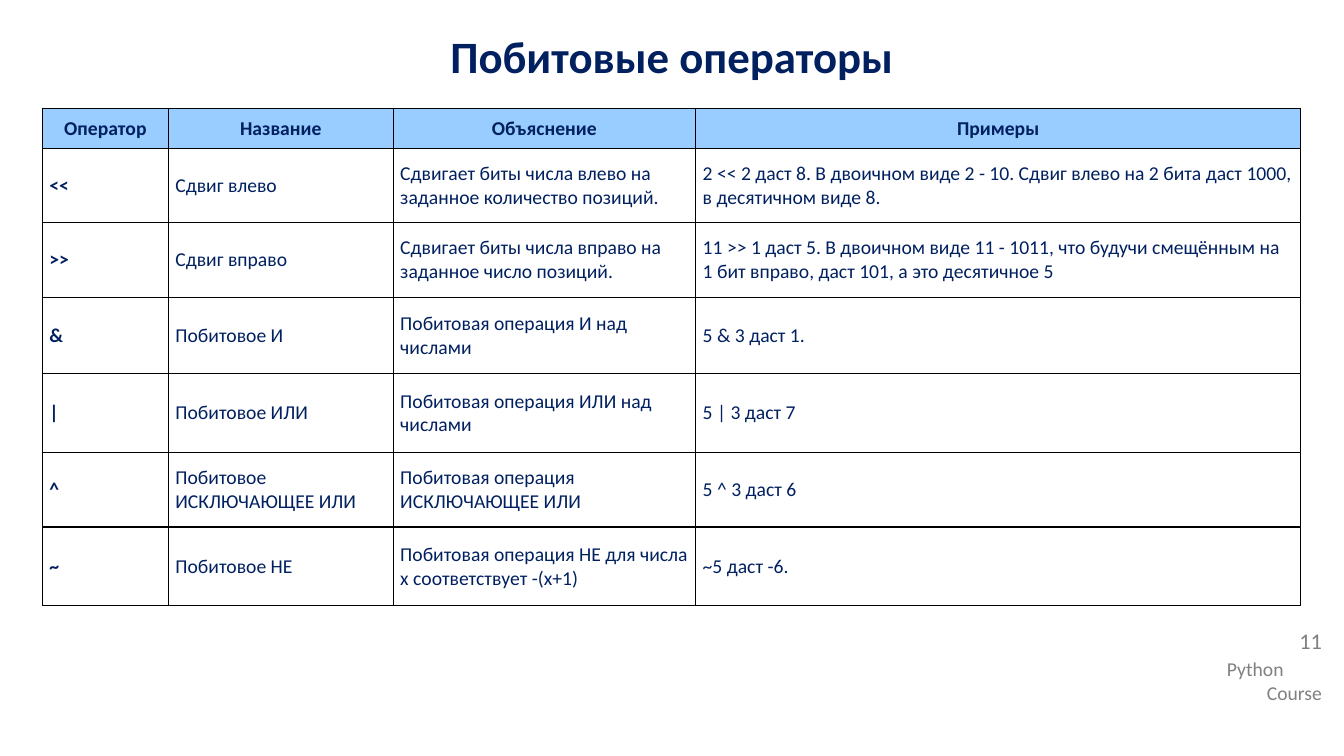
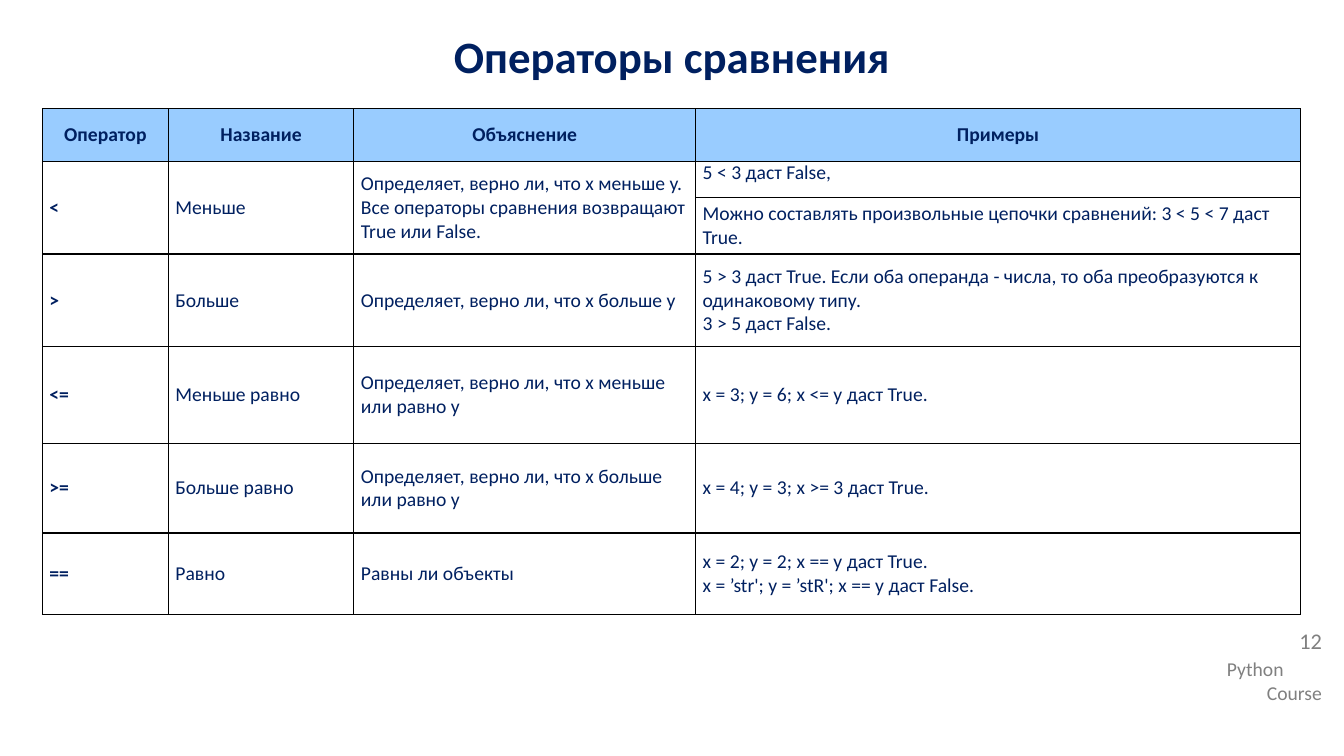
from lxml import etree
from pptx import Presentation
from pptx.dml.color import RGBColor
from pptx.enum.text import MSO_ANCHOR, MSO_AUTO_SIZE, PP_ALIGN
from pptx.oxml.ns import qn
from pptx.util import Emu, Pt

LEFT, CENTER, RIGHT = PP_ALIGN.LEFT, PP_ALIGN.CENTER, PP_ALIGN.RIGHT
TOP, MIDDLE = MSO_ANCHOR.TOP, MSO_ANCHOR.MIDDLE
TITLE_ONLY = 5

# Shared look; lengths are in px, 100 to the inch
SLIDE_SIZE = (1333, 750)
FONT = "Calibri"
NAVY, GRAY, SKY, BLACK = "002060", "808080", "99CCFF", "000000"
TITLE_BOX = (0, 23, 1333, 76)
NUMBER_BOX = (1207, 620, 114, 45)
FOOTER_BOX = (1207, 647, 114, 57)
TABLE_AT = (42, 108)
CELL_INSET = 7
BORDER_PT = 1
FIRST_NUMBER = 11
FOOTER = (("Python", LEFT), ("Course", RIGHT))
HEADERS = ("Оператор", "Название", "Объяснение", "Примеры")

# A tuple in a cell holds paragraphs; None continues the cell above
SLIDES = [
    {
        "title": "Побитовые операторы",
        "cols": (125, 223, 300, 600),
        "heights": (39, 74, 74, 76, 78, 74, 78),
        "rows": [
            ("<<", "Сдвиг влево",
             "Сдвигает биты числа влево на заданное количество позиций.",
             "2 << 2 даст 8. В двоичном виде 2 - 10. Сдвиг влево на 2 бита "
             "даст 1000, в десятичном виде 8."),
            (">>", "Сдвиг вправо",
             "Сдвигает биты числа вправо на заданное число позиций.",
             "11 >> 1 даст 5. В двоичном виде 11 - 1011, что будучи смещённым "
             "на 1 бит вправо, даст 101, а это десятичное 5"),
            ("&", "Побитовое И", "Побитовая операция И над числами",
             "5 & 3 даст 1."),
            ("|", "Побитовое ИЛИ", "Побитовая операция ИЛИ над числами",
             "5 | 3 даст 7"),
            ("^", "Побитовое ИСКЛЮЧАЮЩЕЕ ИЛИ",
             "Побитовая операция ИСКЛЮЧАЮЩЕЕ ИЛИ", "5 ^ 3 даст 6"),
            ("~", "Побитовое НЕ",
             "Побитовая операция НЕ для числа x соответствует -(x+1)",
             "~5 даст -6."),
        ],
    },
    {
        "title": "Операторы сравнения",
        "cols": (125, 184, 339, 600),
        "heights": (52, 36, 56, 92, 96, 89, 81),
        "top_cells": {(1, 3)},
        "rows": [
            ("<", "Меньше",
             "Определяет, верно ли, что x меньше y. Все операторы сравнения "
             "возвращают True или False.",
             "5 < 3 даст False,"),
            (None, None, None,
             "Можно составлять произвольные цепочки "
             "сравнений: 3 < 5 < 7 даст True."),
            (">", "Больше", "Определяет, верно ли, что x больше y",
             ("5 > 3 даст True. Если оба операнда - числа, то оба "
              "преобразуются к одинаковому типу.",
              "3 > 5 даст False.")),
            ("<=", "Меньше равно",
             "Определяет, верно ли, что x меньше или равно y",
             "x = 3; y = 6; x <= y даст True."),
            (">=", "Больше равно",
             "Определяет, верно ли, что x больше или равно y",
             "x = 4; y = 3; x >= 3 даст True."),
            ("==", "Равно", "Равны ли объекты",
             ("x = 2; y = 2; x == y даст True.",
              "x = ’str'; y = ’stR'; x == y даст False.")),
        ],
    },
]


def px(n):
    return Emu(n * 9144)


def rgb(color):
    return RGBColor.from_string(color)


def write(tf, paragraphs, size, color, bold=False, **formats):
    """Fill a text frame with (text, alignment) pairs."""
    for i, (text, align) in enumerate(paragraphs):
        p = tf.paragraphs[0] if i == 0 else tf.add_paragraph()
        for name, value in {"alignment": align, **formats}.items():
            setattr(p, name, value)
        r = p.add_run()
        r.text = text
        font = {"name": FONT, "size": Pt(size), "bold": bold}
        for name, value in font.items():
            setattr(r.font, name, value)
        r.font.color.rgb = rgb(color)


def add_label(s, box, paragraphs, size, **formats):
    tf = s.shapes.add_textbox(*map(px, box)).text_frame
    tf.word_wrap = True
    write(tf, paragraphs, size, GRAY, **formats)


def set_title(s, text):
    title = s.shapes.title
    title.left, title.top, title.width, title.height = map(px, TITLE_BOX)
    tf = title.text_frame
    tf.auto_size = MSO_AUTO_SIZE.NONE
    tf.vertical_anchor = TOP
    write(tf, [(text, CENTER)], 32, NAVY, bold=True, space_after=Pt(5))


def add_borders(cell):
    tc_pr = cell._tc.get_or_add_tcPr()
    for side in ("lnL", "lnR", "lnT", "lnB"):
        ln = etree.SubElement(tc_pr, qn("a:" + side), w=str(Pt(BORDER_PT)))
        fill = etree.SubElement(ln, qn("a:solidFill"))
        etree.SubElement(fill, qn("a:srgbClr"), val=BLACK)


def fill_cell(cell, content, header, operator, anchor):
    add_borders(cell)
    if header:
        cell.fill.solid()
        cell.fill.fore_color.rgb = rgb(SKY)
    else:
        cell.fill.background()
    layout = {"margin_left": px(CELL_INSET), "margin_right": px(CELL_INSET),
              "margin_top": 0, "margin_bottom": 0, "vertical_anchor": anchor}
    for name, value in layout.items():
        setattr(cell, name, value)
    if content is None:
        return
    texts = content if isinstance(content, tuple) else (content,)
    align = CENTER if header else LEFT
    write(cell.text_frame, [(text, align) for text in texts], 14, NAVY,
          bold=header or operator)


def add_operator_table(s, data):
    cols, heights = data["cols"], data["heights"]
    rows = [HEADERS] + data["rows"]
    box = (*TABLE_AT, sum(cols), sum(heights))
    table = s.shapes.add_table(len(rows), len(cols), *map(px, box)).table
    table.first_row = table.horz_banding = False
    for column, width in zip(table.columns, cols):
        column.width = px(width)
    for row, height in zip(table.rows, heights):
        row.height = px(height)
    for i, contents in enumerate(rows):
        for j, content in enumerate(contents):
            cell = table.cell(i, j)
            anchor = TOP if (i, j) in data.get("top_cells", ()) else MIDDLE
            fill_cell(cell, content, i == 0, j == 0, anchor)
            if content is None:
                table.cell(i - 1, j).merge(cell)


def main():
    prs = Presentation()
    prs.slide_width, prs.slide_height = map(px, SLIDE_SIZE)
    for number, data in enumerate(SLIDES, FIRST_NUMBER):
        s = prs.slides.add_slide(prs.slide_layouts[TITLE_ONLY])
        add_label(s, FOOTER_BOX, FOOTER, 14)
        add_label(s, NUMBER_BOX, [(str(number), RIGHT)], 16, line_spacing=0.9)
        set_title(s, data["title"])
        add_operator_table(s, data)
    prs.save("out.pptx")


if __name__ == "__main__":
    main()
